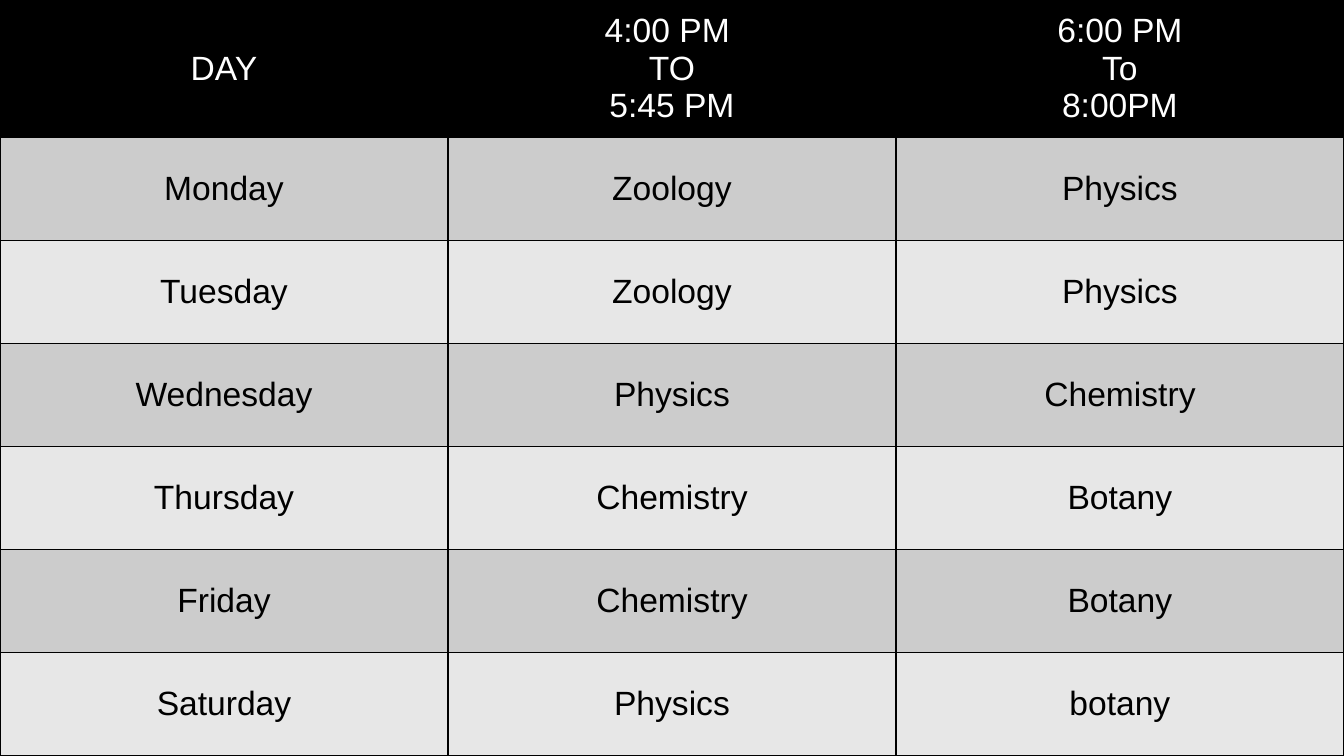
from dataclasses import dataclass

from pptx import Presentation, oxml
from pptx import util as u
from pptx.dml import color
from pptx.enum import text
from pptx.oxml import ns


@dataclass(frozen=True)
class Theme:
    """Colours, font and sizes of the timetable."""
    font: str = "Arial"
    size: int = 24
    border: str = "000000"
    border_width: int = 1
    header: tuple = ("000000", "FFFFFF")
    bands: tuple = (("CCCCCC", "000000"), ("E7E7E7", "000000"))


THEME = Theme()
SLIDE_WIDTH, SLIDE_HEIGHT, HEADER_HEIGHT = 960, 540, 98
TIMETABLE = [
    ("DAY", "4:00 PM \nTO\n5:45 PM", "6:00 PM\nTo\n8:00PM"),
    ("Monday", "Zoology", "Physics"),
    ("Tuesday", "Zoology", "Physics"),
    ("Wednesday", "Physics", "Chemistry"),
    ("Thursday", "Chemistry", "Botany"),
    ("Friday", "Chemistry", "Botany"),
    ("Saturday", "Physics", "botany"),
]


def add_borders(cell):
    """Draw a solid line on all four sides of a cell."""
    properties = cell._tc.get_or_add_tcPr()
    for index, side in enumerate("LRTB"):
        properties.insert(index, oxml.parse_xml(
            f'<a:ln{side} {ns.nsdecls("a")} w="{u.Pt(THEME.border_width)}">'
            f'<a:solidFill><a:srgbClr val="{THEME.border}"/></a:solidFill>'
            f'</a:ln{side}>'))


def format_cell(cell, content, fill, ink):
    """Write centred text in a filled, bordered cell."""
    cell.text = content
    cell.vertical_anchor = text.MSO_ANCHOR.MIDDLE
    cell.fill.solid()
    cell.fill.fore_color.rgb = color.RGBColor.from_string(fill)
    for paragraph in cell.text_frame.paragraphs:
        paragraph.alignment = text.PP_ALIGN.CENTER
        paragraph.font.name = THEME.font
        paragraph.font.size = u.Pt(THEME.size)
        paragraph.font.color.rgb = color.RGBColor.from_string(ink)
    add_borders(cell)


def add_timetable(slide, left, top, width, height):
    """Fill a box with the timetable, its header row and banded days."""
    row_count, column_count = len(TIMETABLE), len(TIMETABLE[0])
    table = slide.shapes.add_table(
        row_count, column_count, u.Pt(left), u.Pt(top), u.Pt(width), u.Pt(height)).table
    for column in table.columns:
        column.width = u.Pt(width / column_count)
    day_height = (height - HEADER_HEIGHT) / (row_count - 1)
    for row_index, entries in enumerate(TIMETABLE):
        is_header = row_index == 0
        table.rows[row_index].height = u.Pt(HEADER_HEIGHT if is_header else day_height)
        fill, ink = THEME.header if is_header else THEME.bands[(row_index - 1) % 2]
        for column_index, entry in enumerate(entries):
            format_cell(table.cell(row_index, column_index), entry, fill, ink)


def main():
    """Build and save the timetable slide."""
    presentation = Presentation()
    presentation.slide_width = u.Pt(SLIDE_WIDTH)
    presentation.slide_height = u.Pt(SLIDE_HEIGHT)
    slide = presentation.slides.add_slide(presentation.slide_layouts[6])
    add_timetable(slide, 0, 0, SLIDE_WIDTH, SLIDE_HEIGHT)
    presentation.save("out.pptx")


main()
